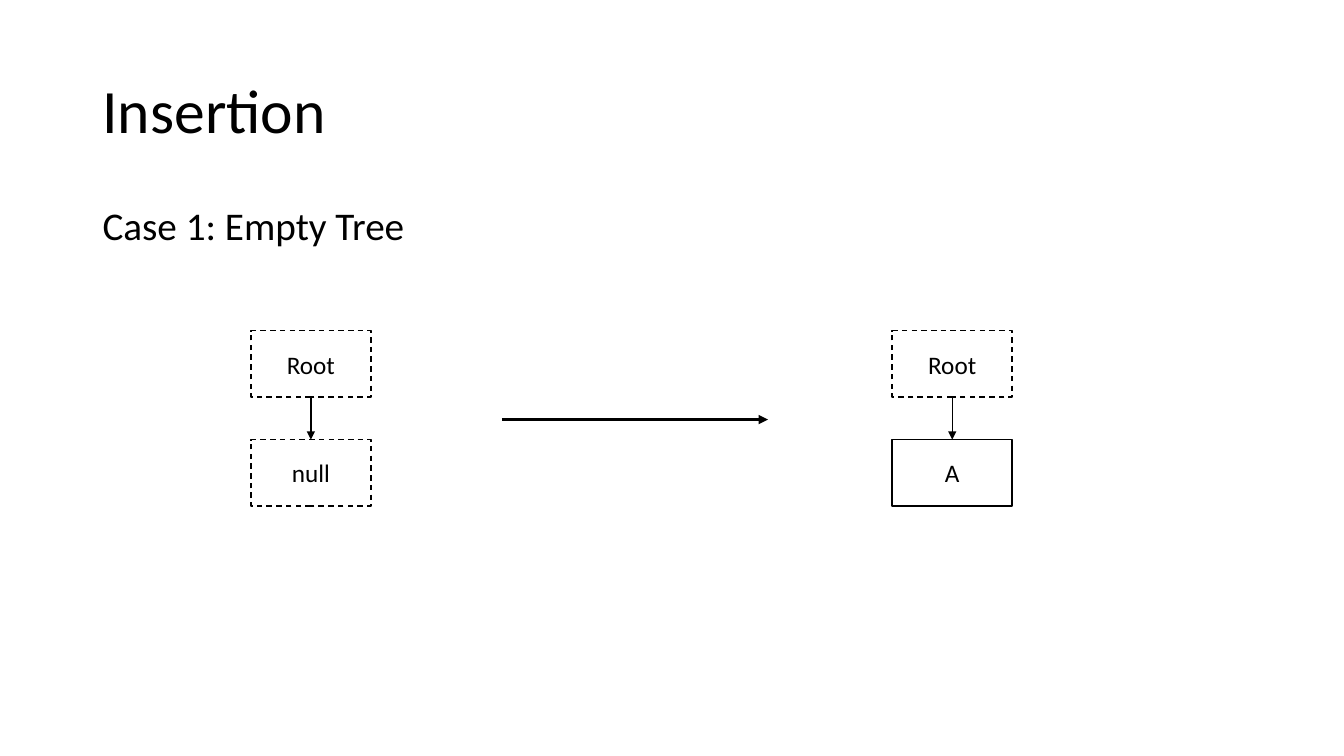
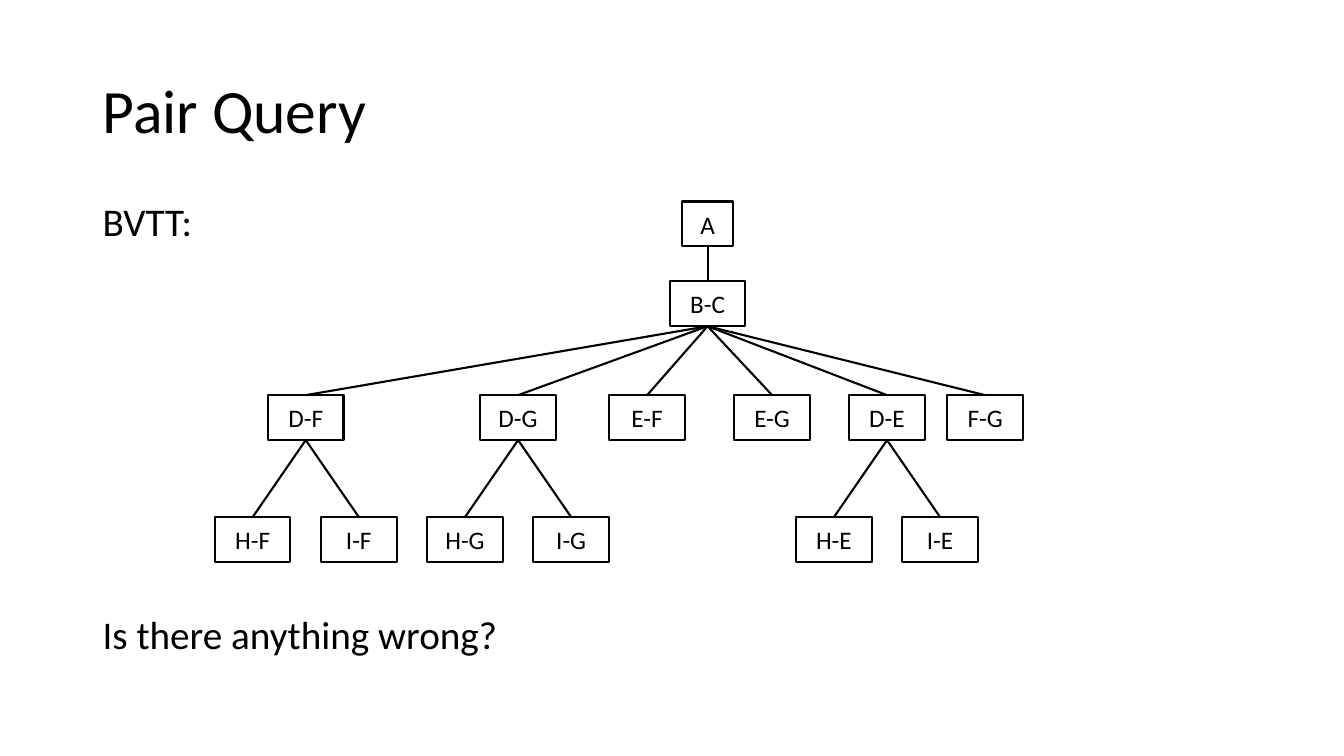
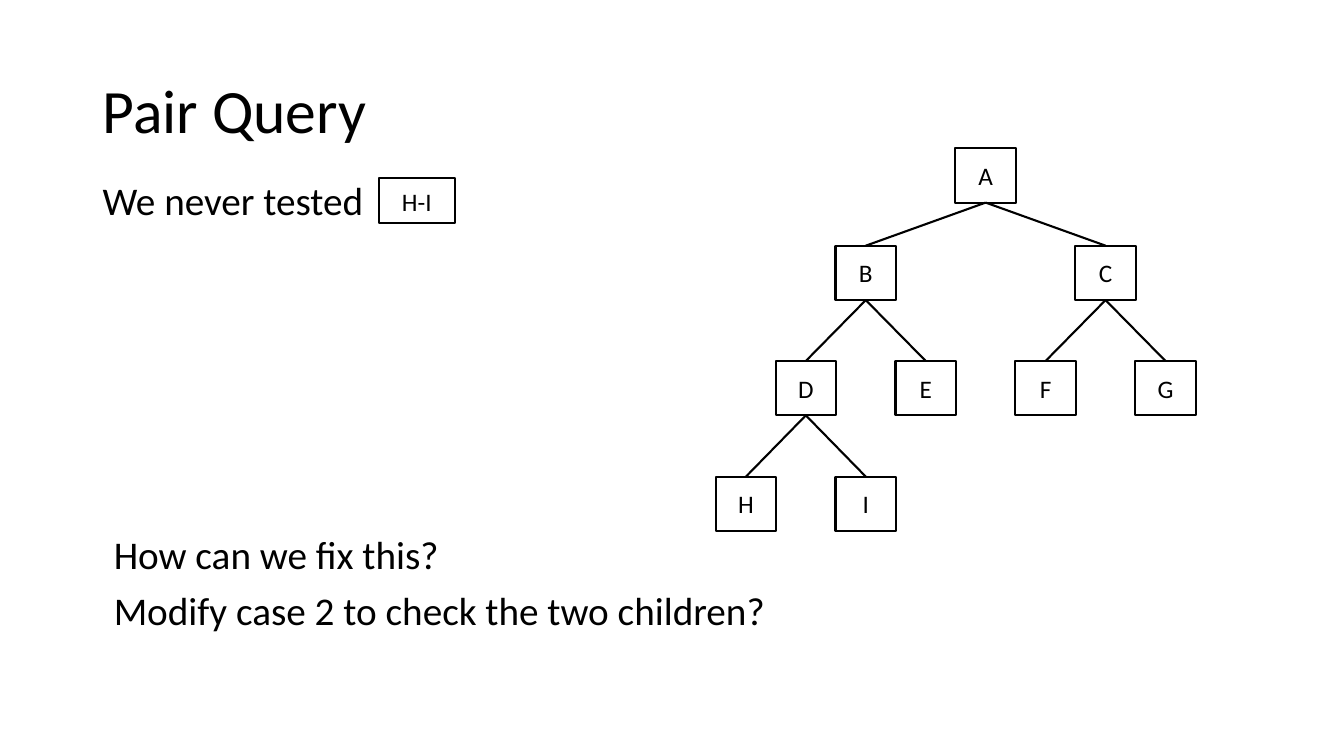
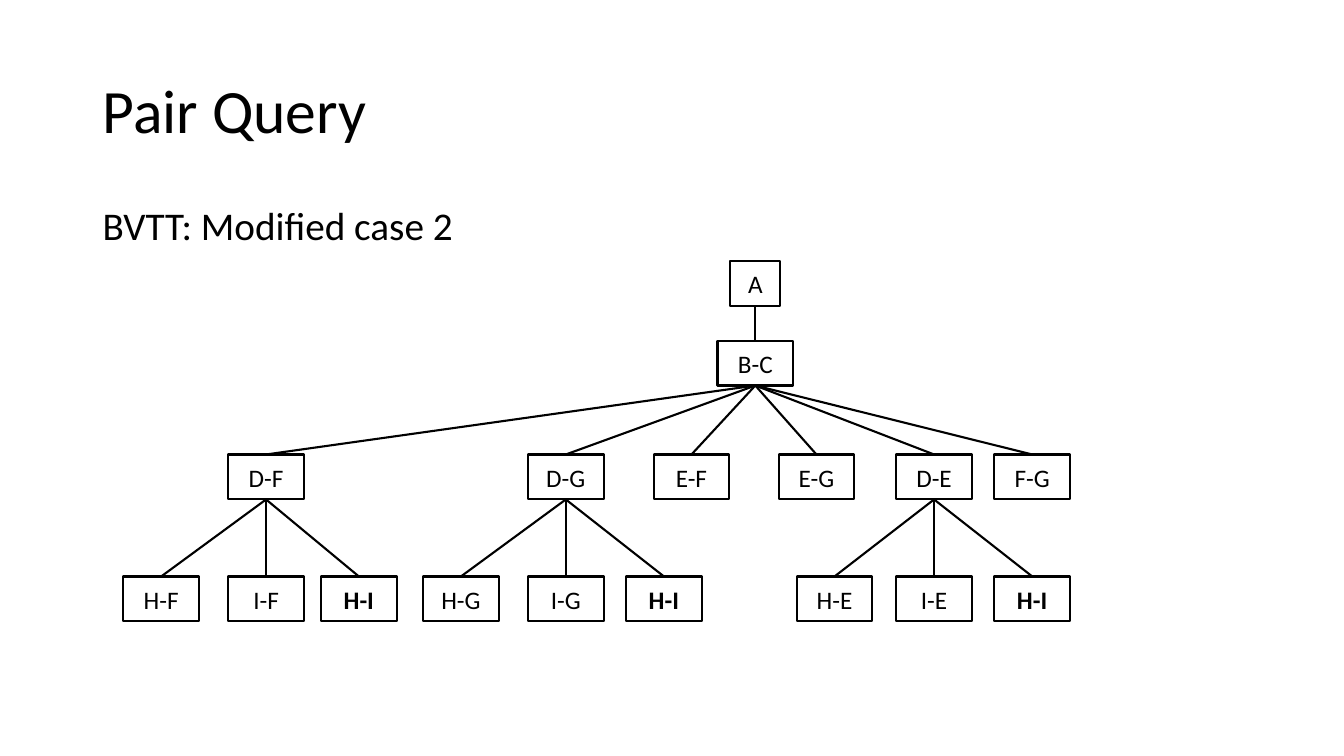
from dataclasses import dataclass

from lxml import etree
from pptx import Presentation
from pptx.dml.color import RGBColor
from pptx.enum.dml import MSO_LINE
from pptx.enum.shapes import MSO_CONNECTOR, MSO_SHAPE
from pptx.enum.text import MSO_ANCHOR, MSO_AUTO_SIZE, PP_ALIGN
from pptx.oxml.ns import qn
from pptx.util import Inches, Pt

RECTANGLE = MSO_SHAPE.RECTANGLE
STRAIGHT = MSO_CONNECTOR.STRAIGHT
DASH = MSO_LINE.DASH
LEFT, CENTER = PP_ALIGN.LEFT, PP_ALIGN.CENTER
TOP, MIDDLE = MSO_ANCHOR.TOP, MSO_ANCHOR.MIDDLE
NO_AUTOFIT = MSO_AUTO_SIZE.NONE

WIDTH, HEIGHT = Inches(13.33), Inches(7.5)
FONT = "Calibri"
COLORS = {"ink": "000000", "paper": "FFFFFF"}
TITLE_SIZE, BODY_SIZE, LABEL_SIZE = 44, 28, 18
BOTTOM_SITE, TOP_SITE = 2, 0

TITLE_AREA = (6.88, 5.33, 86.25, 19.33)
BODY_AREA = (6.88, 26.65, 86.25, 63.45)
PAIR_SIZE = (5.63, 5.95)
SINGLE_SIZE = (3.75, 5.95)
TREE_SIZE = (4.5, 7.2)
ROOT_SIZE = (8.93, 8.8)
PAIR_ROWS = (26.65, 37.2, 52.27, 68.4)
MODIFIED_ROWS = tuple(row + 7.85 for row in PAIR_ROWS)
TREE_ROWS = (19.6, 32.5, 47.75, 63.05)


@dataclass
class Node:
    label: str
    center: float
    children: tuple = ()
    size: tuple = PAIR_SIZE
    bold: bool = False


def across(share):
    return round(WIDTH * share / 100)


def down(share):
    return round(HEIGHT * share / 100)


def color(name):
    return RGBColor.from_string(COLORS[name])


def place(shape, area):
    left, top, width, height = area
    shape.left, shape.top = across(left), down(top)
    shape.width, shape.height = across(width), down(height)


def set_font(para, size, bold=False):
    para.font.name = FONT
    para.font.size = Pt(size)
    para.font.bold = bold
    para.font.color.rgb = color("ink")


def write(shape, lines, size, spacing=0.9, gap=10, anchor=TOP):
    frame = shape.text_frame
    frame.word_wrap = True
    frame.auto_size = NO_AUTOFIT
    frame.vertical_anchor = anchor
    frame.text = "\n".join(lines)
    for number, para in enumerate(frame.paragraphs):
        para.alignment = LEFT
        para.line_spacing = spacing
        para.space_before = Pt(gap if number else 0)
        properties = para._p.get_or_add_pPr()
        properties.set("marL", "0")
        properties.set("indent", "0")
        etree.SubElement(properties, qn("a:buNone"))
        set_font(para, size)


def add_page(deck, title, lines, area=BODY_AREA, **style):
    page = deck.slides.add_slide(deck.slide_layouts[1])
    heading, body = page.placeholders
    place(heading, TITLE_AREA)
    write(heading, [title], TITLE_SIZE, anchor=MIDDLE)
    place(body, area)
    write(body, lines, BODY_SIZE, **style)
    return page


def add_box(page, label, center, top, size=PAIR_SIZE, bold=False,
            weight=1.5, dashed=False, filled=False):
    width, height = size
    box = page.shapes.add_shape(RECTANGLE, 0, 0, 0, 0)
    place(box, (center - width / 2, top, width, height))
    box.shadow.inherit = False
    if filled:
        box.fill.solid()
        box.fill.fore_color.rgb = color("paper")
    else:
        box.fill.background()
    box.line.color.rgb = color("ink")
    box.line.width = Pt(weight)
    if dashed:
        box.line.dash_style = DASH
    frame = box.text_frame
    frame.word_wrap = True
    frame.vertical_anchor = MIDDLE
    frame.text = label
    para = frame.paragraphs[0]
    para.alignment = CENTER
    set_font(para, LABEL_SIZE, bold)
    return box


def add_line(page, start=(0, 0), end=(0, 0), weight=1.5, arrow=False):
    line = page.shapes.add_connector(
        STRAIGHT, across(start[0]), down(start[1]), across(end[0]), down(end[1]))
    line.line.color.rgb = color("ink")
    line.line.width = Pt(weight)
    properties = line._element.spPr
    if arrow:
        outline = properties.find(qn("a:ln"))
        etree.SubElement(outline, qn("a:tailEnd"), type="triangle")
    etree.SubElement(properties, qn("a:effectLst"))
    return line


def join(page, parent, child, **style):
    line = add_line(page, **style)
    line.begin_connect(parent, BOTTOM_SITE)
    line.end_connect(child, TOP_SITE)


def add_tree(page, node, rows):
    box = add_box(page, node.label, node.center, rows[0], node.size, node.bold)
    for child in node.children:
        join(page, box, add_tree(page, child, rows[1:]))
    return box


def pair_tree(root_center, branches):
    middle = Node("B-C", root_center, branches)
    return Node("A", root_center, (middle,), SINGLE_SIZE)


def pair_branch(label, center, step=3.95):
    last = label[-1]
    return Node(label, center, (Node(f"H-{last}", center - step),
                                Node(f"I-{last}", center + step)))


def triple_branch(label, center, first, third):
    last = label[-1]
    return Node(label, center, (Node(f"H-{last}", first),
                                Node(f"I-{last}", center),
                                Node("H-I", third, bold=True)))


def letter_node(label, column, *children):
    return Node(label, 55.5 + 4.46 * column, children, TREE_SIZE)


def add_root_link(page, center, target, **style):
    root = add_box(page, "Root", center, 43.75, ROOT_SIZE, weight=1, dashed=True)
    node = add_box(page, target, center, 58.15, ROOT_SIZE, weight=1, **style)
    join(page, root, node, weight=1, arrow=True)


def add_insertion(deck):
    page = add_page(deck, "Insertion", ["Case 1: Empty Tree"])
    add_root_link(page, 23.13, "null", dashed=True)
    add_root_link(page, 70.85, "A", filled=True)
    add_line(page, (37.35, 55.5), (57.15, 55.5), weight=2.25, arrow=True)


def add_pair_query(deck):
    page = add_page(deck, "Pair Query", ["BVTT:", "Is there anything wrong?"],
                    spacing=0.8, gap=268)
    add_tree(page, pair_tree(52.65, (
        pair_branch("D-F", 22.75),
        pair_branch("D-G", 38.55),
        Node("E-F", 48.15),
        Node("E-G", 57.45),
        pair_branch("D-E", 66),
        Node("F-G", 73.3),
    )), PAIR_ROWS)


def add_missing_pair(deck):
    page = add_page(deck, "Pair Query", ["We never tested"],
                    area=(6.88, 23.33, 28.73, 9.33))
    add_box(page, "H-I", 31.02, 23.6)
    question = page.shapes.add_textbox(0, 0, 0, 0)
    place(question, (7.73, 70.13, 52.29, 23.6))
    write(question, ["How can we fix this?",
                     "Modify case 2 to check the two children?"], BODY_SIZE)
    add_tree(page, letter_node(
        "A", 4,
        letter_node("B", 2,
                    letter_node("D", 1, letter_node("H", 0), letter_node("I", 2)),
                    letter_node("E", 3)),
        letter_node("C", 6, letter_node("F", 5), letter_node("G", 7)),
    ), TREE_ROWS)


def add_modified_query(deck):
    page = add_page(deck, "Pair Query", ["BVTT: Modified case 2"])
    add_tree(page, pair_tree(56.2, (
        triple_branch("D-F", 19.8, 12, 26.7),
        triple_branch("D-G", 42.1, 34.3, 49.4),
        Node("E-F", 51.45),
        Node("E-G", 60.75),
        triple_branch("D-E", 69.5, 62.1, 76.8),
        Node("F-G", 76.8),
    )), MODIFIED_ROWS)


def main():
    deck = Presentation()
    deck.slide_width, deck.slide_height = WIDTH, HEIGHT
    add_insertion(deck)
    add_pair_query(deck)
    add_missing_pair(deck)
    add_modified_query(deck)
    deck.save("out.pptx")


if __name__ == "__main__":
    main()
